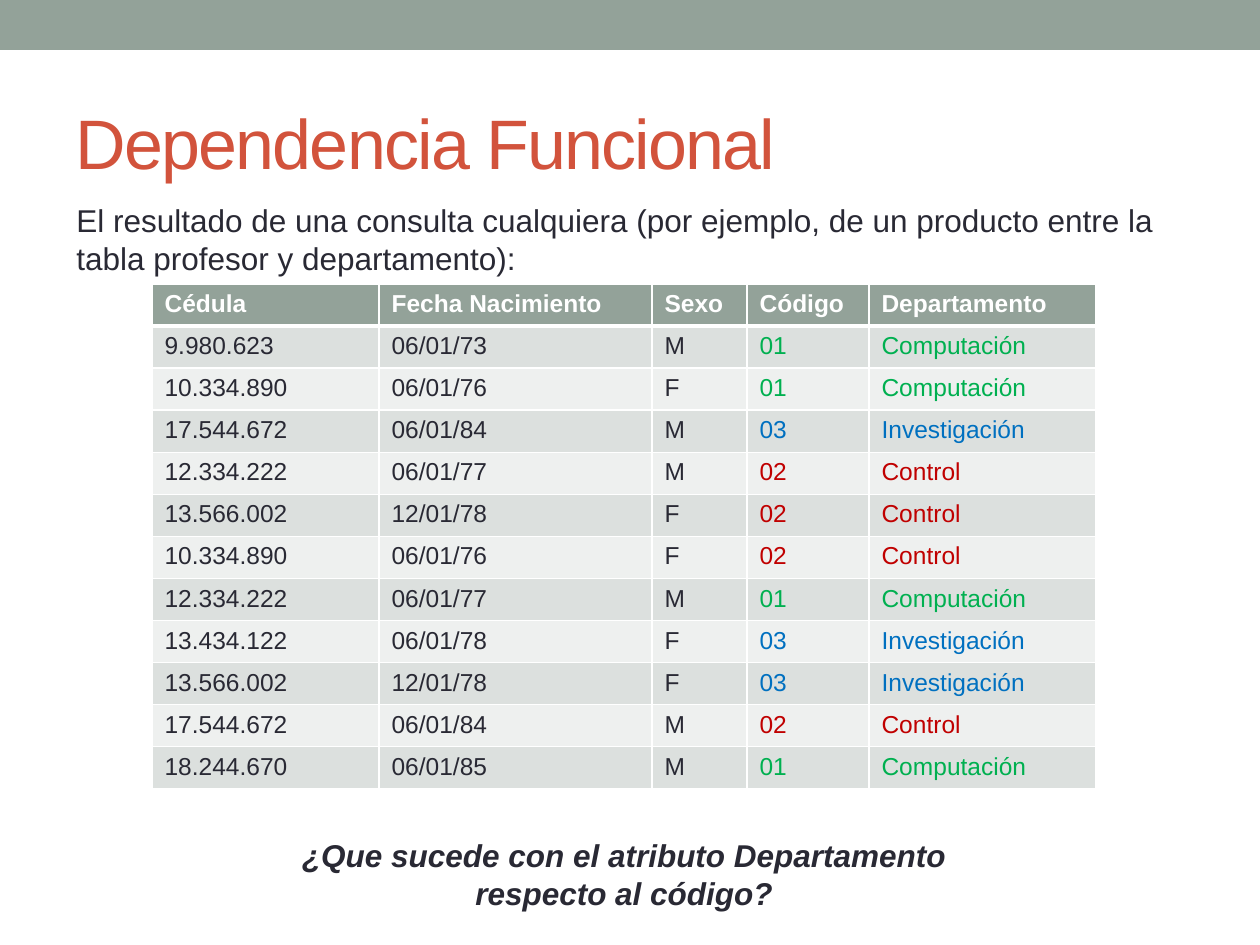
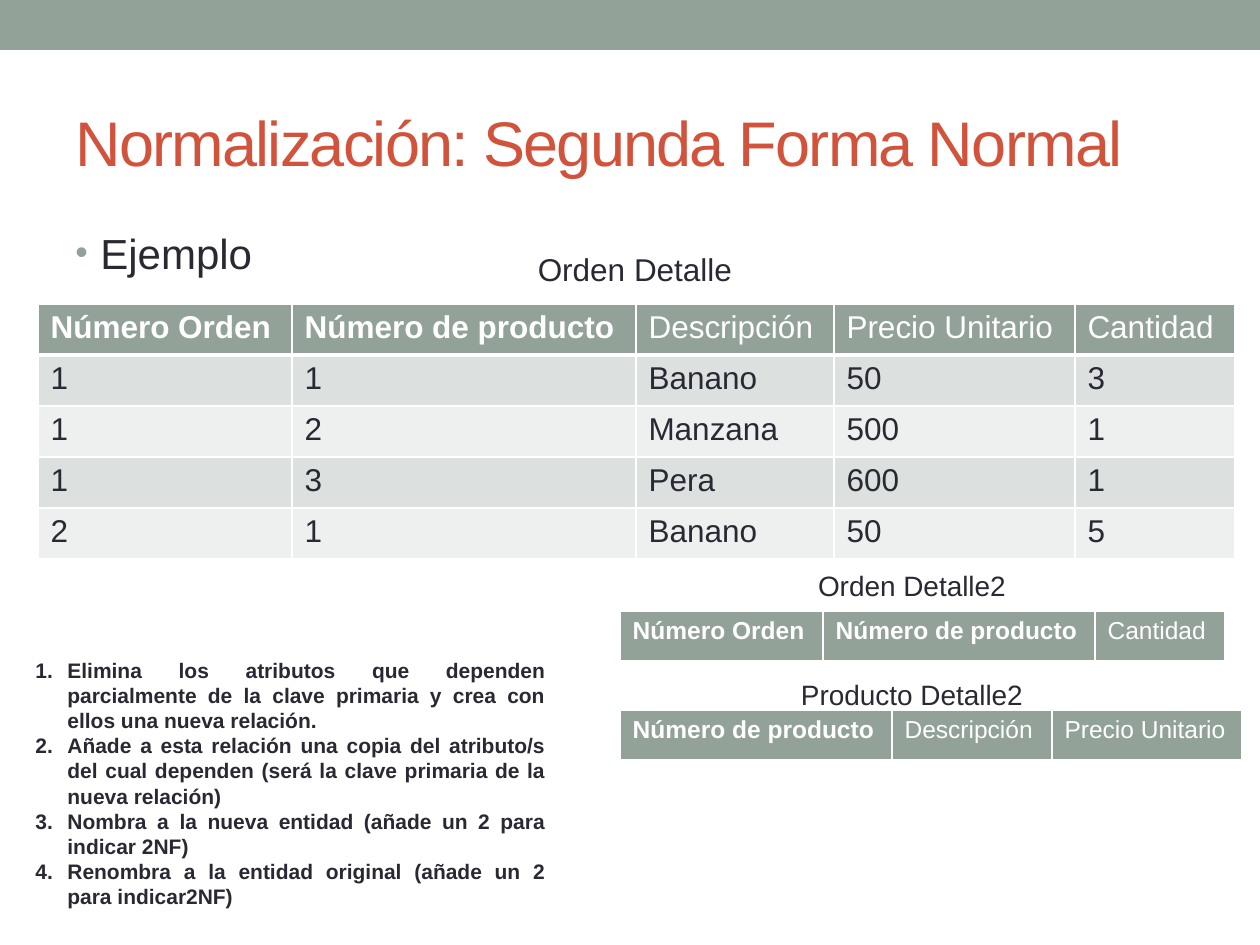
from dataclasses import dataclass
from lxml import etree
from pptx import Presentation
from pptx.dml.color import RGBColor as RGB
from pptx.enum.shapes import MSO_SHAPE as Kind
from pptx.enum.text import MSO_ANCHOR as Anchor, PP_ALIGN as Align
from pptx.oxml.ns import qn
from pptx.util import Emu, Pt

SCALE = 914400 / 126


@dataclass(frozen=True)
class Theme:
    font: str = "Arial"
    sage: str = "93A299"
    rust: str = "D2533C"
    ink: str = "292934"
    white: str = "FFFFFF"
    bands: tuple = ("EEF0EF", "DCE0DE")
    green: str = "00B050"
    red: str = "C00000"
    blue: str = "0070C0"
    head: int = 40
    lead: int = 24
    body: int = 18
    label: int = 16
    small: int = 14
    note: int = 12


look = Theme()


def px(*sizes):
    return [Emu(round(size * SCALE)) for size in sizes]


def write(frame, lines, size, color=look.ink, bold=False, align=Align.LEFT):
    """Fill a text frame with one paragraph per line and return them."""
    frame.word_wrap = True
    frame.text = "\n".join(lines)
    for para in frame.paragraphs:
        para.alignment = align
        font = para.font
        font.name, font.size, font.bold = look.font, Pt(size), bold
        font.color.rgb = RGB.from_string(color)
    return frame.paragraphs


deck = Presentation()
deck.slide_width, deck.slide_height = px(1260, 945)

# Shared band and title
slides = []
for title, size in [("Dependencia Funcional", look.head),
                    ("Normalización: Segunda Forma Normal", look.head - 4)]:
    slide = deck.slides.add_slide(deck.slide_layouts[6])
    band = slide.shapes.add_shape(Kind.RECTANGLE, *px(0, 0, 1260, 50))
    band.shadow.inherit = False
    band.fill.solid()
    band.fill.fore_color.rgb = RGB.from_string(look.sage)
    band.line.fill.background()
    frame = slide.shapes.add_textbox(*px(63, 73, 1134, 136)).text_frame
    frame.vertical_anchor = Anchor.MIDDLE
    para = write(frame, [title], size, look.rust)[0]
    para.runs[0].font._element.set("spc", "-100")
    slides.append(slide)
query, normal = slides

# Table contents
depts = {"01": ("Computación", look.green),
         "02": ("Control", look.red),
         "03": ("Investigación", look.blue)}
staff = [
    ("9.980.623", "06/01/73", "M", "01"),
    ("10.334.890", "06/01/76", "F", "01"),
    ("17.544.672", "06/01/84", "M", "03"),
    ("12.334.222", "06/01/77", "M", "02"),
    ("13.566.002", "12/01/78", "F", "02"),
    ("10.334.890", "06/01/76", "F", "02"),
    ("12.334.222", "06/01/77", "M", "01"),
    ("13.434.122", "06/01/78", "F", "03"),
    ("13.566.002", "12/01/78", "F", "03"),
    ("17.544.672", "06/01/84", "M", "02"),
    ("18.244.670", "06/01/85", "M", "01"),
]
people = [("Cédula", "Fecha Nacimiento", "Sexo", "Código", "Departamento")]
people += [row + (depts[row[3]][0],) for row in staff]
tints = {word: tint for code, (name, tint) in depts.items()
         for word in (code, name)}
orders = [
    ("Número Orden", "Número de producto", "Descripción", "Precio Unitario",
     "Cantidad"),
    ("1", "1", "Banano", "50", "3"),
    ("1", "2", "Manzana", "500", "1"),
    ("1", "3", "Pera", "600", "1"),
    ("2", "1", "Banano", "50", "5"),
]
detail = [("Número Orden", "Número de producto", "Cantidad")]
goods = [("Número de producto", "Descripción", "Precio Unitario")]

# Each table: slide, left, top, widths, row height, type size, bold heads, rows
for slide, left, top, widths, high, size, keys, rows in [
    (query, 152, 284, (227, 273, 95, 122, 227), 40, look.small, 5, people),
    (normal, 38, 304, (254, 344, 198, 241, 160), 51, look.body, 2, orders),
    (normal, 620, 611, (203, 272, 130), 51, look.small, 2, detail),
    (normal, 620, 710, (272, 160, 190), 51, look.small, 1, goods),
]:
    grid = slide.shapes.add_table(
        len(rows), len(widths),
        *px(left, top, sum(widths), high * len(rows))).table
    for col, wide in zip(grid.columns, widths):
        col.width = px(wide)[0]
    for r, row in enumerate(rows):
        grid.rows[r].height = px(high)[0]
        for c, word in enumerate(row):
            cell = grid.cell(r, c)
            color = tints.get(word, look.ink) if r else look.white
            if slide is normal and r:
                color = look.ink
            write(cell.text_frame, [word], size, color, r == 0 and c < keys)
            props = cell._tc.get_or_add_tcPr()
            for side in "LRTB":
                thick = (r, side) in [(0, "B"), (1, "T")]
                line = etree.SubElement(props, qn(f"a:ln{side}"),
                                        w=str(Pt(3 if thick else 1)))
                fill = etree.SubElement(line, qn("a:solidFill"))
                etree.SubElement(fill, qn("a:srgbClr"), val=look.white)
            cell.fill.solid()
            cell.fill.fore_color.rgb = RGB.from_string(
                look.bands[r % 2] if r else look.sage)

# Plain text and table captions
ask = "¿Que sucede con el atributo Departamento respecto al código?"
intro = ("El resultado de una consulta cualquiera (por ejemplo, de un "
         "producto entre la tabla profesor y departamento):")
for slide, box, text, size, bold, align in [
    (query, (64, 195, 1131, 89), intro, look.body, False, Align.LEFT),
    (query, (263, 830, 722, 89), ask, look.body, True, Align.CENTER),
    (normal, (471, 244, 328, 50), "Orden Detalle", look.body, False,
     Align.CENTER),
    (normal, (748, 562, 328, 47), "Orden Detalle2", look.label, False,
     Align.CENTER),
    (normal, (748, 671, 328, 47), "Producto Detalle2", look.label, False,
     Align.CENTER),
]:
    frame = slide.shapes.add_textbox(*px(*box)).text_frame
    para = write(frame, [text], size, bold=bold, align=align)[0]
    para.font.italic = bold

# Bulleted example and numbered steps
steps = [
    "Elimina los atributos que dependen parcialmente de la clave primaria y "
    "crea con ellos una nueva relación.",
    "Añade a esta relación una copia del atributo/s del cual dependen (será "
    "la clave primaria de la nueva relación)",
    "Nombra a la nueva entidad (añade un 2 para indicar 2NF)",
    "Renombra a la entidad original (añade un 2 para indicar2NF)",
]
dot = [("buClr", {}), ("buSzPct", {"val": "85000"}),
       ("buFont", {"typeface": look.font}), ("buChar", {"char": "•"})]
count = [("buFont", {"typeface": look.font}),
         ("buAutoNum", {"type": "arabicPeriod"})]
for box, lines, size, bold, gap, hang, marks in [
    ((63, 221, 1134, 672), ["Ejemplo"], look.lead, False, 5, 25, dot),
    ((23, 651, 535, 267), steps, look.note, True, 0, 32, count),
]:
    frame = normal.shapes.add_textbox(*px(*box)).text_frame
    for para in write(frame, lines, size, bold=bold, align=Align.JUSTIFY):
        para.space_before = Pt(gap)
        props = para._p.get_or_add_pPr()
        indent = px(hang)[0]
        props.set("marL", str(indent))
        props.set("indent", str(-indent))
        at = len(props.findall(qn("a:spcBef")))
        for i, (tag, attrs) in enumerate(marks):
            mark = etree.Element(qn(f"a:{tag}"), attrs)
            if tag == "buClr":
                etree.SubElement(mark, qn("a:srgbClr"), val=look.sage)
            props.insert(at + i, mark)

deck.save("out.pptx")
